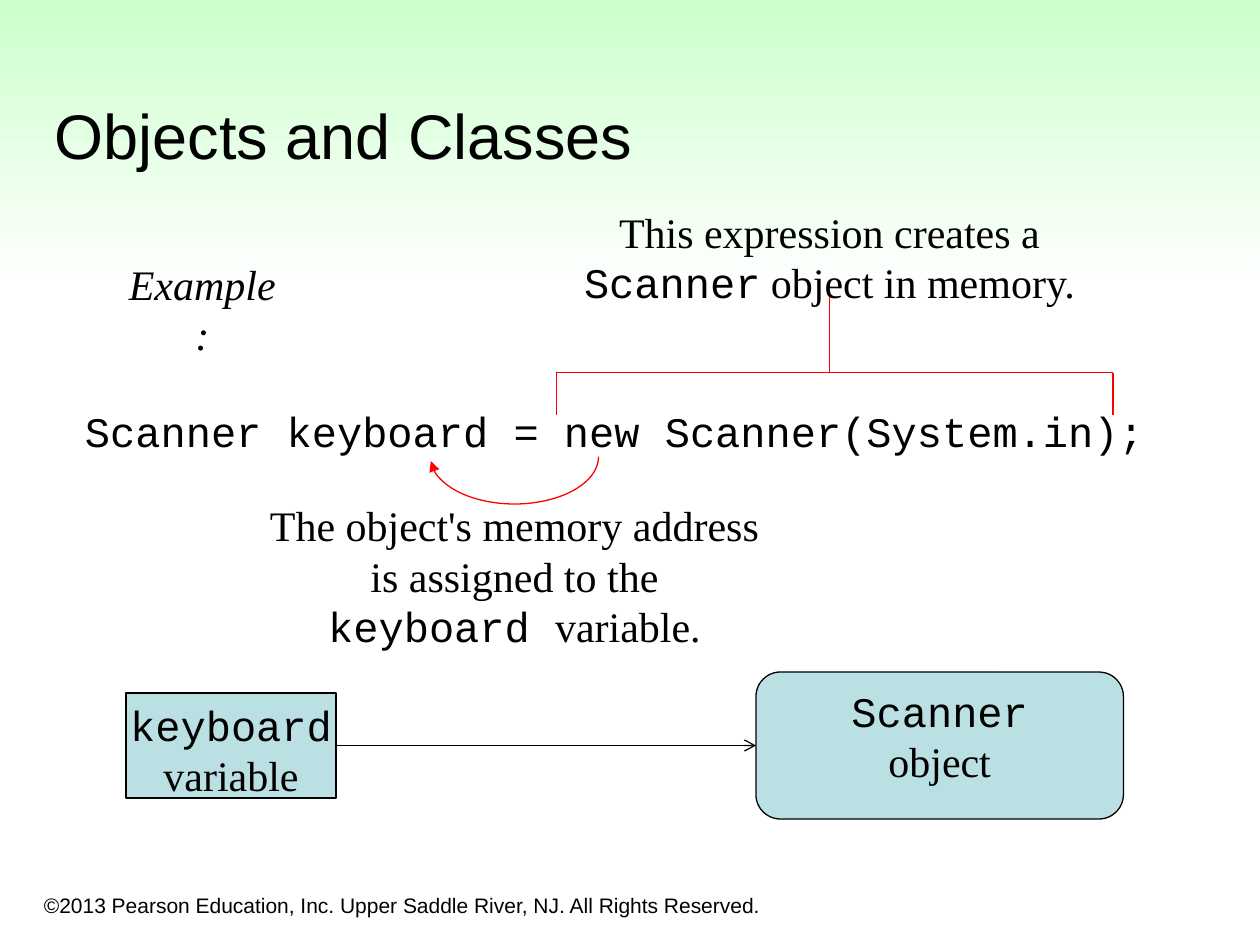
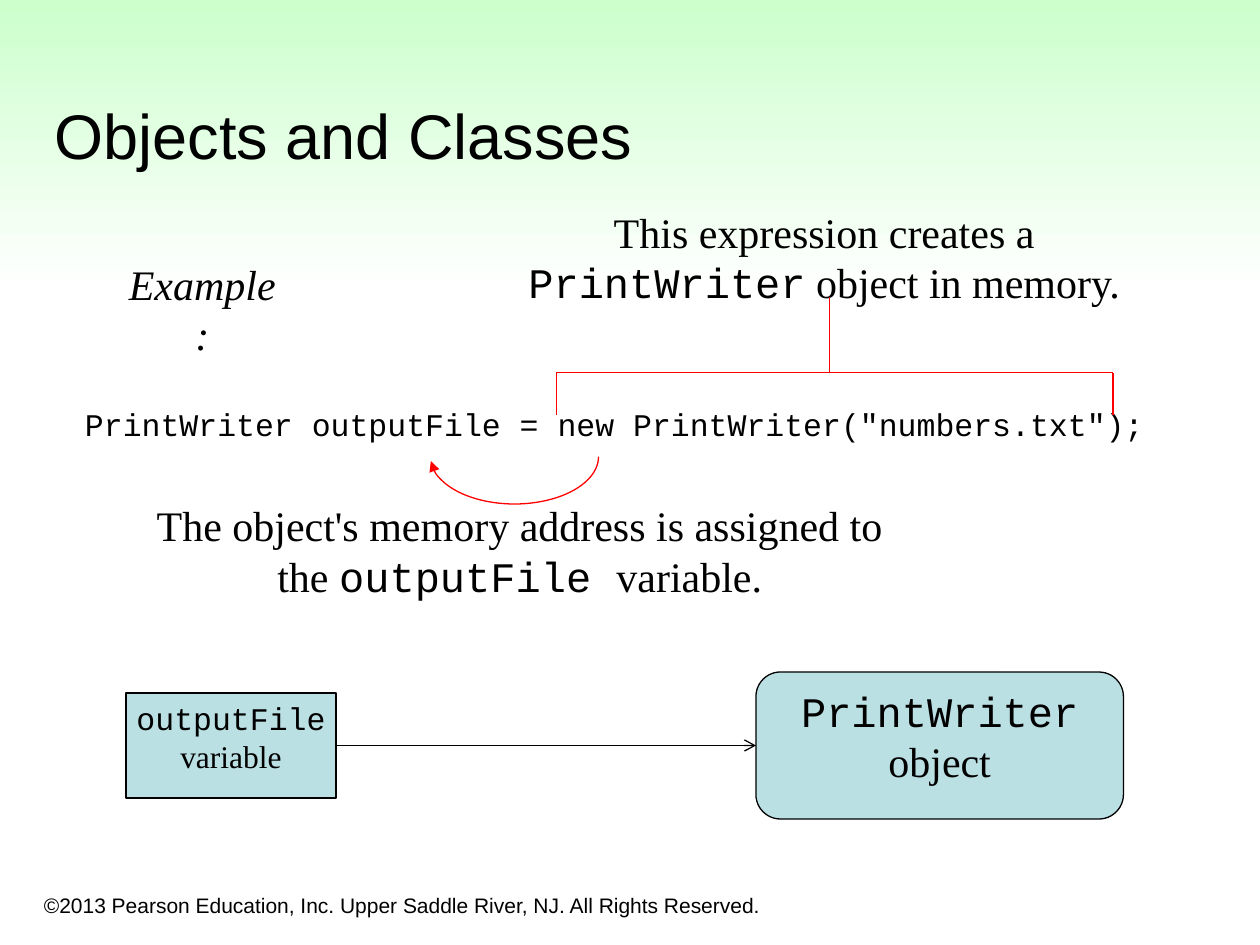
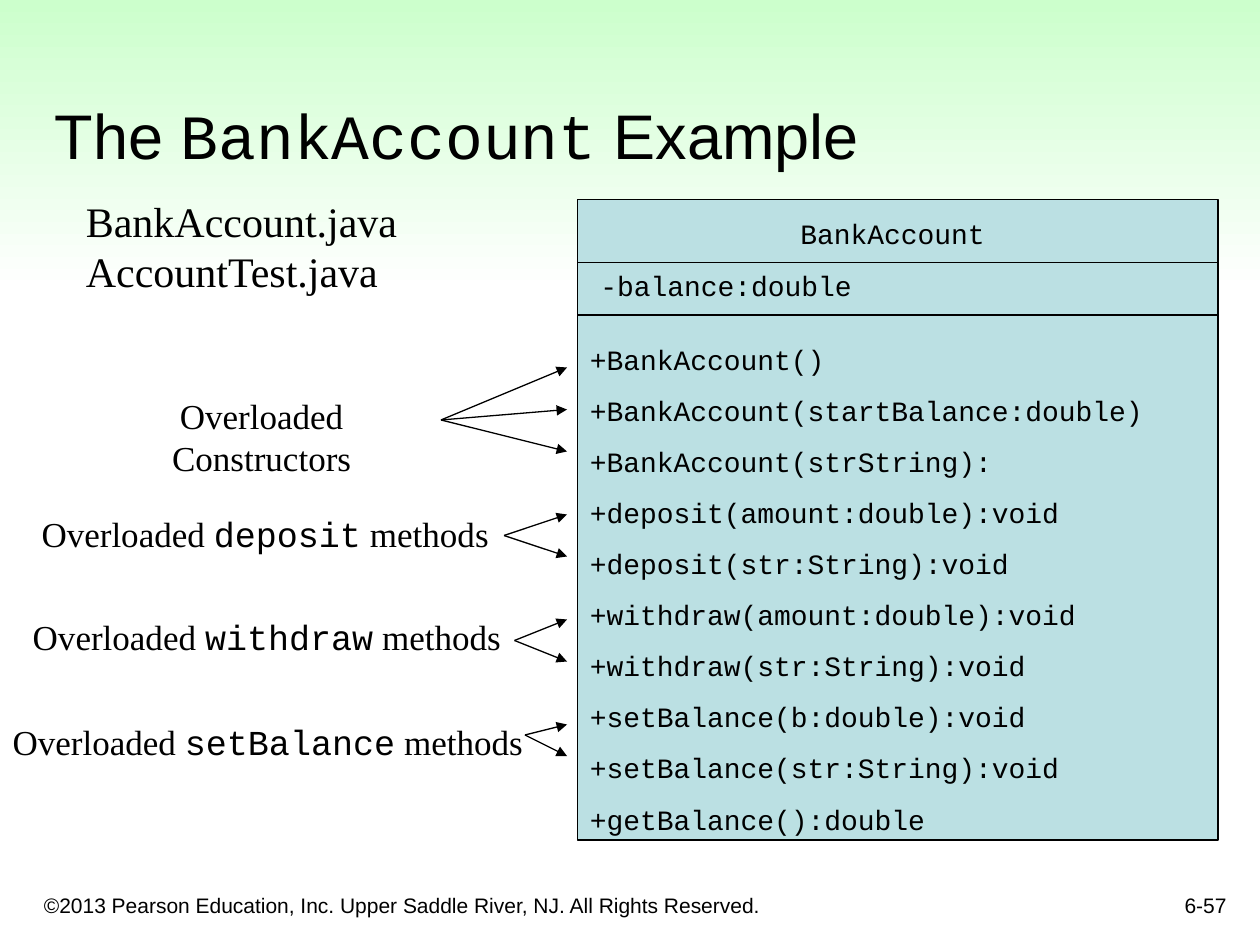
from pptx import Presentation
from pptx import util as u
from pptx.dml.color import RGBColor
from pptx.enum import shapes, text
from pptx.oxml.ns import qn
from lxml import etree

Pt = u.Pt
HUE = {k: RGBColor.from_string(v) for k, v in {
    "ink": "000000", "mark": "FF0000", "box": "BBE0E3",
    "mint": "CCFFCC", "white": "FFFFFF"}.items()}
SANS, SERIF, MONO = "Arial", "Times New Roman", "Courier New"
LEFT, MID, RIGHT = text.PP_ALIGN.LEFT, text.PP_ALIGN.CENTER, text.PP_ALIGN.RIGHT
TOP, LOW = text.MSO_ANCHOR.TOP, text.MSO_ANCHOR.BOTTOM
KIND = shapes.MSO_SHAPE


def write(shape, paras, size, face=SERIF, align=MID, anchor=TOP, wrap=True, gap=0):
    """Fill a shape with paragraphs; words between backticks are set in MONO."""
    frame = shape.text_frame
    frame.word_wrap, frame.vertical_anchor = wrap, anchor
    for i, para in enumerate(paras):
        p = frame.paragraphs[0] if i == 0 else frame.add_paragraph()
        p.alignment = align
        if i and gap:
            p.space_before = Pt(gap)
        p.font.size, p.font.name = Pt(size), face
        p.font.color.rgb = HUE["ink"]
        for j, part in enumerate(para.split("`")):
            if part:
                run = p.add_run()
                run.text = part
                if j % 2:
                    run.font.name = MONO
    return shape


def draw(slide, start, end, hue="ink", head=None):
    """Draw a straight line, with an arrowhead at its end if head is given."""
    line = slide.shapes.add_connector(
        shapes.MSO_CONNECTOR.STRAIGHT, *map(Pt, (*start, *end)))
    line.line.color.rgb, line.line.width = HUE[hue], Pt(0.75)
    if head:
        etree.SubElement(line.line._get_or_add_ln(), qn("a:tailEnd"), type=head)
    etree.SubElement(line.element.spPr, qn("a:effectLst"))


prs = Presentation()
prs.slide_width, prs.slide_height = Pt(720), Pt(540)
layout = prs.slide_layouts[5]

# Titles
deck = []
for name in ["Objects and Classes", "Objects and Classes",
             "The `BankAccount` Example"]:
    slide = prs.slides.add_slide(layout)
    title = slide.shapes.title
    title.left, title.top, title.width, title.height = map(Pt, (24, 24, 678, 78))
    write(title, [name], 36, SANS, LEFT, LOW)
    deck.append(slide)

# Band and footer are made once and moved to the layout
band = deck[0].shapes.add_shape(KIND.RECTANGLE, *map(Pt, (0, 0, 720, 167)))
band.shadow.inherit = False
band.line.fill.background()
band.fill.gradient()
band.fill.gradient_angle = 270
for stop, hue in zip(band.fill.gradient_stops, ("mint", "white")):
    stop.color.rgb = HUE[hue]
foot = deck[0].shapes.add_textbox(*map(Pt, (18, 498, 438, 30)))
write(foot, ["©2013 Pearson Education, Inc. Upper Saddle River, NJ. "
             "All Rights Reserved."], 12, SANS, LEFT, LOW)
for part in (band, foot):
    layout.shapes.element.append(part.element)

# Slides 1 and 2: a variable refers to an object
cases = [
    ("Scanner", "keyboard", "Scanner keyboard = new Scanner(System.in);",
     24, (324, 300), (144, 300)),
    ("PrintWriter", "outputFile",
     'PrintWriter outputFile = new PrintWriter("numbers.txt");',
     18, (294, 354), (78, 438)),
]
for slide, (kind, var, code, size, (nx, nw), (ax, aw)) in zip(deck, cases):
    add = slide.shapes.add_textbox
    write(add(*map(Pt, (36, 228, 630, 36))), [code], size, MONO)

    for form, rect, words, pts in [
            (KIND.RECTANGLE, (72, 396, 120, 60), [f"`{var}`", "variable"], size),
            (KIND.ROUNDED_RECTANGLE, (432, 384, 210, 84),
             [f"`{kind}`", "object"], 24)]:
        box = slide.shapes.add_shape(form, *map(Pt, rect))
        box.shadow.inherit = False
        box.fill.solid()
        box.fill.fore_color.rgb = HUE["box"]
        box.line.color.rgb, box.line.width = HUE["ink"], Pt(0.75)
        write(box, words, pts, wrap=False)
    draw(slide, (192, 426), (432, 426), head="arrow")

    write(add(*map(Pt, (nx, 114.5, nw, 65))),
          [f"This expression creates a `{kind}` object in memory."], 24)
    for start, end in [((318, 237), (318, 213)), ((318, 213), (636, 213)),
                       ((636, 237), (636, 213)), ((474, 213), (474, 170))]:
        draw(slide, start, end, "mark")

    arc = slide.shapes.add_shape(KIND.ARC, *map(Pt, (246, 234, 96, 54)))
    arc.shadow.inherit = False
    arc.adjustments[0], arc.adjustments[1] = 0, 177 * 0.6
    arc.fill.background()
    arc.line.color.rgb, arc.line.width = HUE["mark"], Pt(0.75)
    etree.SubElement(arc.line._get_or_add_ln(), qn("a:tailEnd"), type="triangle")

    write(add(*map(Pt, (ax, 282, aw, 65))),
          [f"The object's memory address is assigned to the `{var} `variable."], 24)
    label = write(add(*map(Pt, (62.6, 144, 106, 36))), ["Example:"], 24, wrap=False)
    label.text_frame.paragraphs[0].font.italic = True

# Slide 3: class diagram
slide = deck[2]
add = slide.shapes.add_textbox
write(add(*map(Pt, (558, 492, 150, 36))), ["6-57"], 12, SANS, RIGHT, LOW)
write(add(*map(Pt, (42, 108, 222, 65))),
      ["BankAccount.java AccountTest.java"], 24, align=LEFT)

box = slide.shapes.add_shape(KIND.RECTANGLE, *map(Pt, (330, 114, 366, 366)))
box.shadow.inherit = False
box.fill.solid()
box.fill.fore_color.rgb = HUE["box"]
box.line.color.rgb, box.line.width = HUE["ink"], Pt(0.75)
for y in (150, 180):
    draw(slide, (330, y), (696, y))

methods = [
    "+BankAccount()", "+BankAccount(startBalance:double)",
    "+BankAccount(strString):", "+deposit(amount:double):void",
    "+deposit(str:String):void", "+withdraw(amount:double):void",
    "+withdraw(str:String):void", "+setBalance(b:double):void",
    "+setBalance(str:String):void", "+getBalance():double"]
for rect, words, align in [
        ((330, 120, 360, 27), ["BankAccount"], MID),
        ((336, 150, 324, 27), ["-balance:double"], LEFT),
        ((330, 192, 366, 290), methods, LEFT)]:
    write(add(*map(Pt, rect)), words, 16, MONO, align, gap=10)

# Label box (left, top, width), text, arrow start, arrow end heights
notes = [
    ((42, 222, 215), "Overloaded Constructors", (252, 240), (210, 234, 258)),
    ((16.5, 289.5, 270), "Overloaded `deposit` methods", (288, 306), (294, 318)),
    ((11.5, 348, 282), "Overloaded `withdraw` methods", (294, 366), (354, 378)),
    ((0, 408, 306), "Overloaded `setBalance` methods", (300, 420), (414, 432)),
]
for rect, words, start, ends in notes:
    write(add(*map(Pt, (*rect, 31.5))), [words], 20, wrap=False)
    for y in ends:
        draw(slide, start, (324, y), head="triangle")

prs.save("out.pptx")
